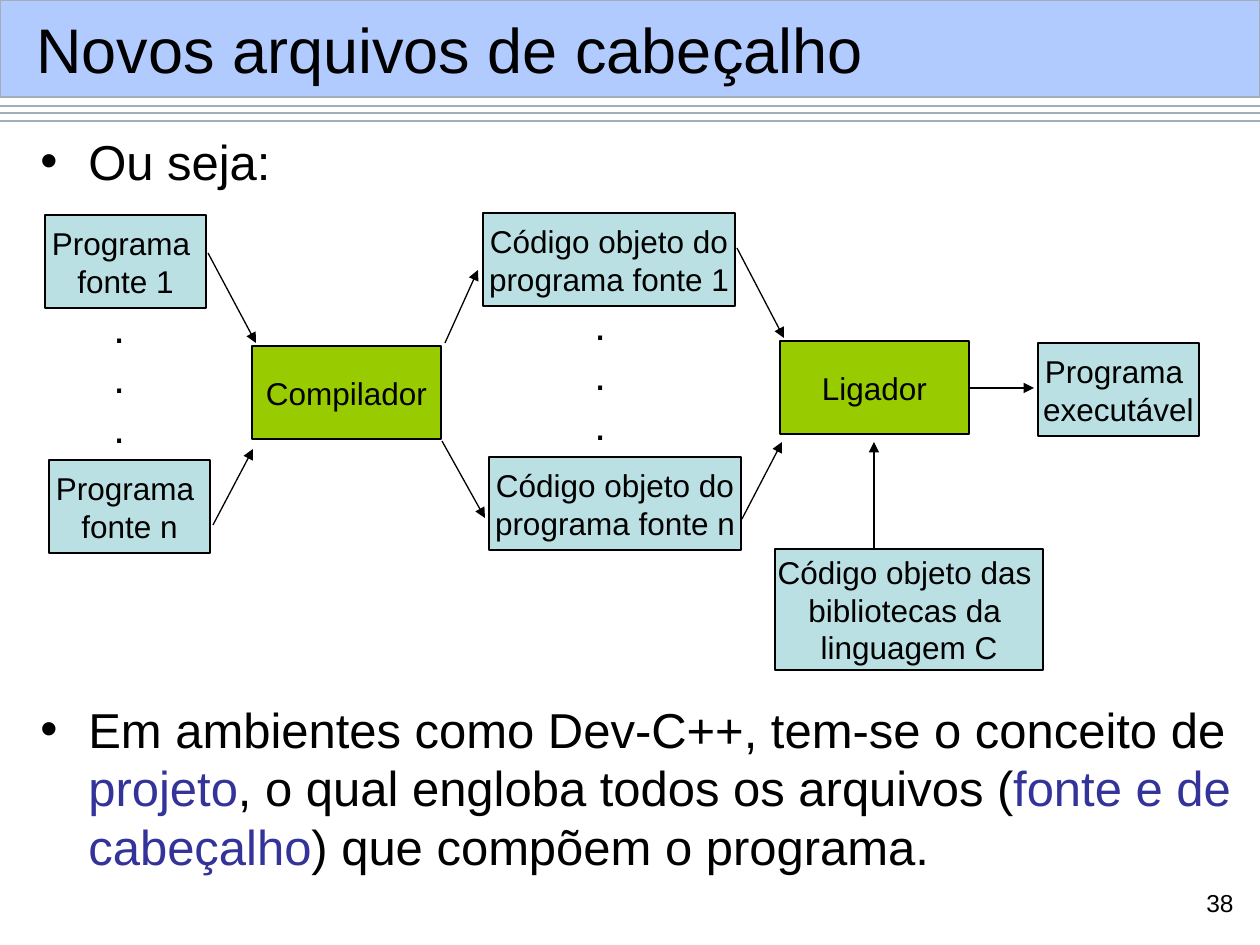
import pptx
import pptx.dml.color
import pptx.enum.shapes
import pptx.enum.text
import pptx.oxml
import pptx.oxml.ns
import pptx.util

W, H = 1260, 945
BLACK, BLUE, GREY = "000000", "333399", "A3AEB7"
AQUA, GREEN = "BBE0E3", "99CC00"
LEFT, CENTER, RIGHT = (getattr(pptx.enum.text.PP_ALIGN, n) for n in ("LEFT", "CENTER", "RIGHT"))

TITLE = "Novos arquivos de cabeçalho"
BULLETS = [
    [("Ou seja:", BLACK)],
    [("Em ambientes como Dev-C++, tem-se o conceito de ", BLACK), ("projeto", BLUE),
     (", o qual engloba todos os arquivos (", BLACK), ("fonte e de cabeçalho", BLUE),
     (") que compõem o programa.", BLACK)],
]
BOXES = [
    (["Programa ", "fonte 1"], AQUA, (45, 215, 161, 93)),
    (["Programa ", "fonte n"], AQUA, (49, 460, 161, 93)),
    (["Compilador"], GREEN, (252, 346, 189, 93)),
    (["Código objeto do", "programa fonte 1"], AQUA, (483, 213, 252, 93)),
    (["Código objeto do", "programa fonte n"], AQUA, (489, 457, 252, 93)),
    (["Ligador"], GREEN, (780, 341, 189, 93)),
    (["Código objeto das ", "bibliotecas da ", "linguagem C"], AQUA, (775, 549, 268, 121)),
    (["Programa ", "executável"], AQUA, (1038, 343, 161, 93)),
]
DOTS = [(101, 295, 37, 164), (582, 292, 37, 164)]
ARROWS = [
    (208, 253, 256, 343), (213, 525, 253, 449), (445, 343, 478, 270), (442, 441, 485, 518),
    (737, 248, 784, 338), (742, 519, 782, 442), (874, 549, 874, 442), (969, 388, 1034, 388),
]
RULES = [106, 113, 121]


def px(n):
    return pptx.util.Emu(round(n * 914400 / 126))


def rgb(c):
    return pptx.dml.color.RGBColor.from_string(c)


def add_xml(parent, tag, **attrs):
    e = pptx.oxml.ns.qn(tag)
    e = parent.makeelement(e, attrs)
    parent.append(e)
    return e


def write(s, paragraphs, size=18, align=LEFT, middle=False, wrap=False, bullet=False, gap=0):
    tf = s.text_frame
    tf.word_wrap = wrap
    anchor = pptx.enum.text.MSO_ANCHOR
    tf.vertical_anchor = anchor.MIDDLE if middle else anchor.TOP
    for i, runs in enumerate(paragraphs):
        p = tf.add_paragraph() if i else tf.paragraphs[0]
        p.alignment = align
        p.line_spacing = pptx.util.Pt(1.2 * size)
        p.space_before = pptx.util.Pt(gap if i else 0)
        if bullet:
            pPr = p._p.get_or_add_pPr()
            pPr.set("marL", str(px(48)))
            pPr.set("indent", str(-px(48)))
            add_xml(pPr, "a:buFont", typeface="Arial")
            add_xml(pPr, "a:buChar", char="•")
        for text, color in [(runs, BLACK)] if isinstance(runs, str) else runs:
            r = p.add_run()
            r.text = text
            r.font.name = "Arial"
            r.font.size = pptx.util.Pt(size)
            r.font.color.rgb = rgb(color)


def add_text(slide, at, paragraphs, **fmt):
    write(slide.shapes.add_textbox(*map(px, at)), paragraphs, **fmt)


def add_box(slide, at, fill, line):
    s = slide.shapes.add_shape(pptx.enum.shapes.MSO_SHAPE.RECTANGLE, *map(px, at))
    s.shadow.inherit = False
    s.fill.solid()
    s.fill.fore_color.rgb = rgb(fill)
    s.line.color.rgb = rgb(line)
    s.line.width = pptx.util.Pt(0.75)
    return s


def add_line(slide, ends, color, arrow=False):
    s = slide.shapes.add_connector(pptx.enum.shapes.MSO_CONNECTOR.STRAIGHT, *map(px, ends))
    s.line.color.rgb = rgb(color)
    s.line.width = pptx.util.Pt(0.75)
    if arrow:
        add_xml(s.line._get_or_add_ln(), "a:tailEnd", type="triangle")
    add_xml(s._element.spPr, "a:effectLst")


def main():
    """Build the slide on compiling and linking several source files."""
    prs = pptx.Presentation()
    prs.slide_width, prs.slide_height = px(W), px(H)
    slide = prs.slides.add_slide(prs.slide_layouts[6])

    for y in RULES:
        add_line(slide, (0, y, W, y), GREY)
    band = add_box(slide, (0, 0, W, 97), "6699FF", GREY)
    fill = band._element.spPr.find(pptx.oxml.ns.qn("a:solidFill"))
    add_xml(fill[0], "a:alpha", val="50000")
    add_text(slide, (24, 11, 1215, 75), [TITLE], size=36, middle=True, wrap=True)

    add_text(slide, (28, 125, 1220, 786), BULLETS, size=28, wrap=True, bullet=True, gap=291)
    for lines, color, at in BOXES:
        write(add_box(slide, at, color, BLACK), lines, align=CENTER, middle=True)
    for at in DOTS:
        add_text(slide, at, ["."] * 3, size=24)
    for ends in ARROWS:
        add_line(slide, ends, BLACK, arrow=True)
    add_text(slide, (1186, 882, 60, 45), ["38"], size=14, align=RIGHT, wrap=True)
    prs.save("out.pptx")


if __name__ == "__main__":
    main()
